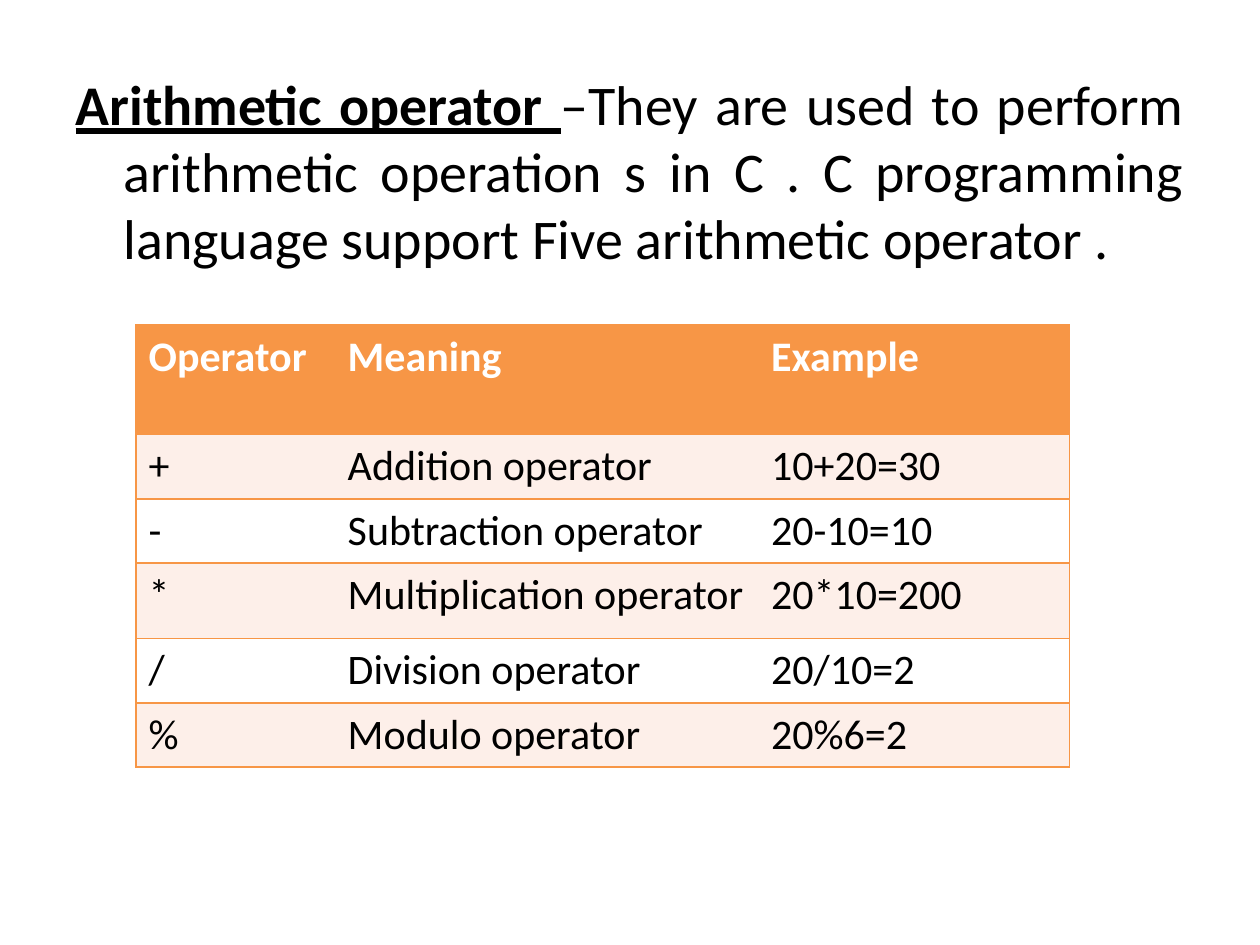
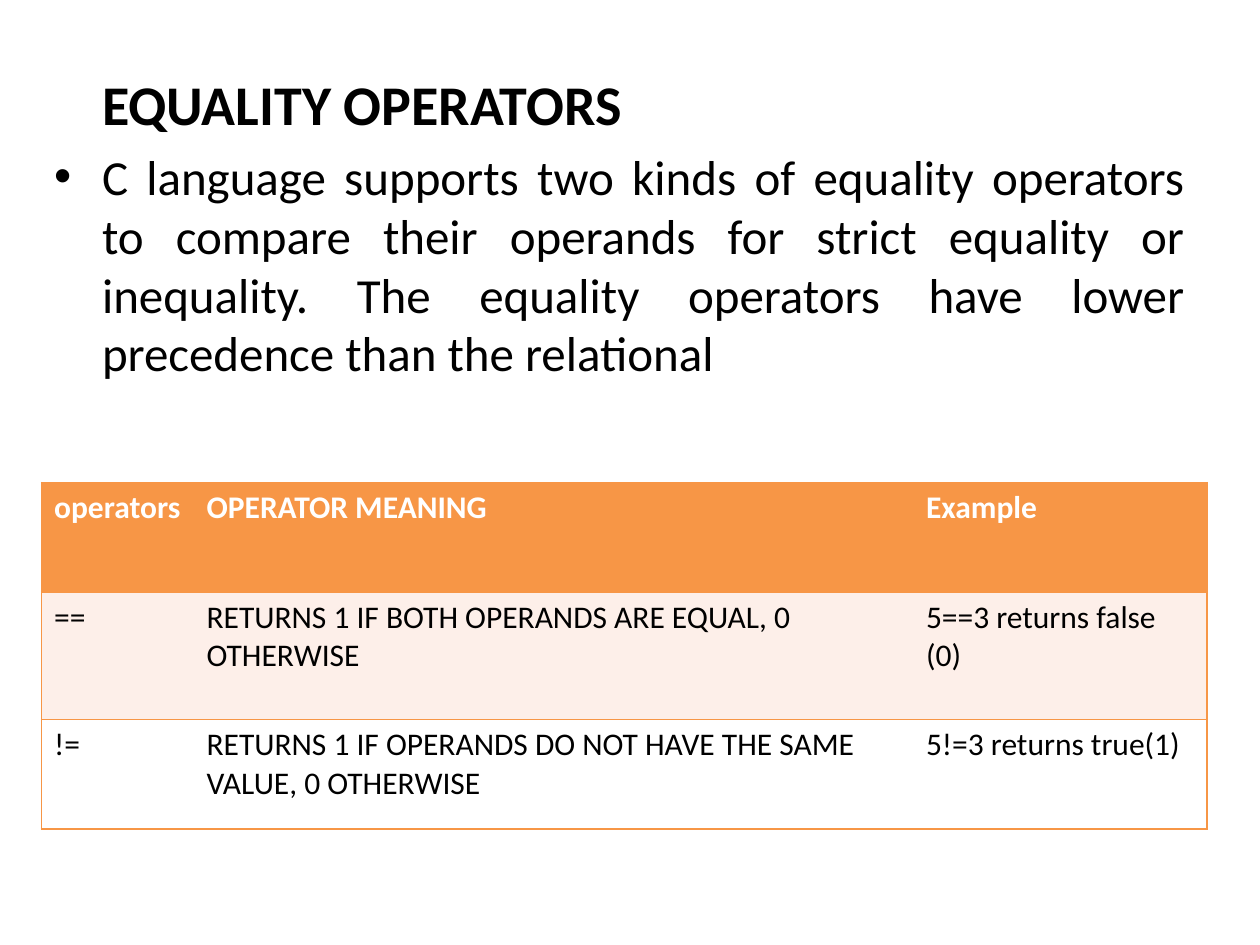
from lxml.etree import SubElement
from pptx import Presentation
from pptx.dml.color import RGBColor
from pptx.enum.text import MSO_AUTO_SIZE, PP_ALIGN
from pptx.oxml import parse_xml
from pptx.oxml.ns import nsdecls, qn
from pptx.util import Inches, Pt

COLORS = {"accent": "F79646", "band": "FDEFE9", "plain": "FFFFFF", "text": "000000"}
FONT = "Calibri"
HANG = 0.38


def add_text(paragraph, text, size, color="text", bold=False, underline=False):
    """Append one formatted run to a paragraph."""
    run = paragraph.add_run()
    run.text = text
    run.font.name = FONT
    run.font.size = Pt(size)
    run.font.bold = bold
    run.font.underline = underline
    run.font.color.rgb = RGBColor.from_string(COLORS[color])


def format_paragraph(paragraph, bullet=None, first_line=-HANG, align=PP_ALIGN.JUSTIFY, before=0):
    """Set the indent, bullet, alignment and space before of a paragraph."""
    paragraph.alignment = align
    paragraph.space_before = Pt(before)
    properties = paragraph._p.get_or_add_pPr()
    properties.set("marL", str(Inches(HANG)))
    properties.set("indent", str(Inches(first_line)))
    if bullet:
        SubElement(properties, qn("a:buChar")).set("char", bullet)
    else:
        SubElement(properties, qn("a:buNone"))


def add_body_slide(prs, box):
    """Add a slide with only a body placeholder and return both."""
    slide = prs.slides.add_slide(prs.slide_layouts[1])
    title = slide.shapes.title.element
    title.getparent().remove(title)
    body = slide.placeholders[1]
    body.left, body.top, body.width, body.height = map(Inches, box)
    body.text_frame.word_wrap = True
    body.text_frame.auto_size = MSO_AUTO_SIZE.NONE
    return slide, body.text_frame


def set_borders(cell, visible):
    """Draw the named sides of a cell and clear the others."""
    properties = cell._tc.get_or_add_tcPr()
    for position, side in enumerate("LRTB"):
        paint = (f'<a:solidFill><a:srgbClr val="{COLORS["accent"]}"/></a:solidFill>'
                 if side in visible else "<a:noFill/>")
        line = parse_xml(f'<a:ln{side} {nsdecls("a")} w="{Pt(1)}">{paint}</a:ln{side}>')
        properties.insert(position, line)


def add_operator_table(slide, left, top, widths, heights, rows, size):
    """Add a table with an accent header, banded rows and no inner verticals."""
    box = map(Inches, (left, top, sum(widths), sum(heights)))
    table = slide.shapes.add_table(len(rows), len(widths), *box).table
    for column, width in zip(table.columns, widths):
        column.width = Inches(width)
    for r, (height, texts) in enumerate(zip(heights, rows)):
        table.rows[r].height = Inches(height)
        header = r == 0
        fill = "accent" if header else "band" if r % 2 else "plain"
        for c, text in enumerate(texts):
            cell = table.cell(r, c)
            cell.fill.solid()
            cell.fill.fore_color.rgb = RGBColor.from_string(COLORS[fill])
            sides = "TB" + ("L" if c == 0 else "") + ("R" if c == len(widths) - 1 else "")
            set_borders(cell, sides)
            add_text(cell.text_frame.paragraphs[0], text, size,
                     color="plain" if header else "text", bold=header)


def build_arithmetic_slide(prs):
    """Build the slide on arithmetic operators."""
    slide, body = add_body_slide(prs, (0.5, 0.5, 9, 6.2))
    definition = body.paragraphs[0]
    format_paragraph(definition)
    add_text(definition, "Arithmetic operator ", 32, bold=True, underline=True)
    add_text(definition, "–They are used to perform arithmetic operation s in C . "
             "C programming language support Five arithmetic operator .", 32)
    rows = [
        ("Operator", "Meaning", "Example"),
        ("+", "Addition operator", "10+20=30"),
        ("-", "Subtraction operator", "20-10=10"),
        ("*", "Multiplication operator", "20*10=200"),
        ("/", "Division operator", "20/10=2"),
        ("%", "Modulo operator", "20%6=2"),
    ]
    add_operator_table(slide, 1.08, 2.58, (1.58, 3.36, 2.47),
                       (0.87, 0.51, 0.51, 0.6, 0.51, 0.51), rows, 24)


def build_equality_slide(prs):
    """Build the slide on equality operators."""
    slide, body = add_body_slide(prs, (0.33, 0.5, 9.17, 3))
    heading = body.paragraphs[0]
    format_paragraph(heading, first_line=0, align=PP_ALIGN.LEFT)
    add_text(heading, "EQUALITY OPERATORS", 32, bold=True)
    explanation = body.add_paragraph()
    format_paragraph(explanation, bullet="•", before=5.6)
    add_text(explanation, "C language supports two kinds of equality operators to compare "
             "their operands for strict equality or inequality. The equality operators "
             "have lower precedence than the relational", 28)
    rows = [
        ("operators", "OPERATOR MEANING", "Example"),
        ("==", "RETURNS 1 IF BOTH OPERANDS ARE EQUAL, 0 OTHERWISE", "5==3 returns false (0)"),
        ("!=", "RETURNS 1 IF OPERANDS DO NOT HAVE THE SAME VALUE, 0 OTHERWISE",
         "5!=3 returns true(1)"),
    ]
    add_operator_table(slide, 0.33, 3.83, (1.21, 5.71, 2.33), (0.87, 1.01, 0.87), rows, 18)


def main():
    """Build and save the presentation."""
    prs = Presentation()
    prs.slide_width, prs.slide_height = Inches(10), Inches(7.5)
    build_arithmetic_slide(prs)
    build_equality_slide(prs)
    prs.save("out.pptx")


if __name__ == "__main__":
    main()
